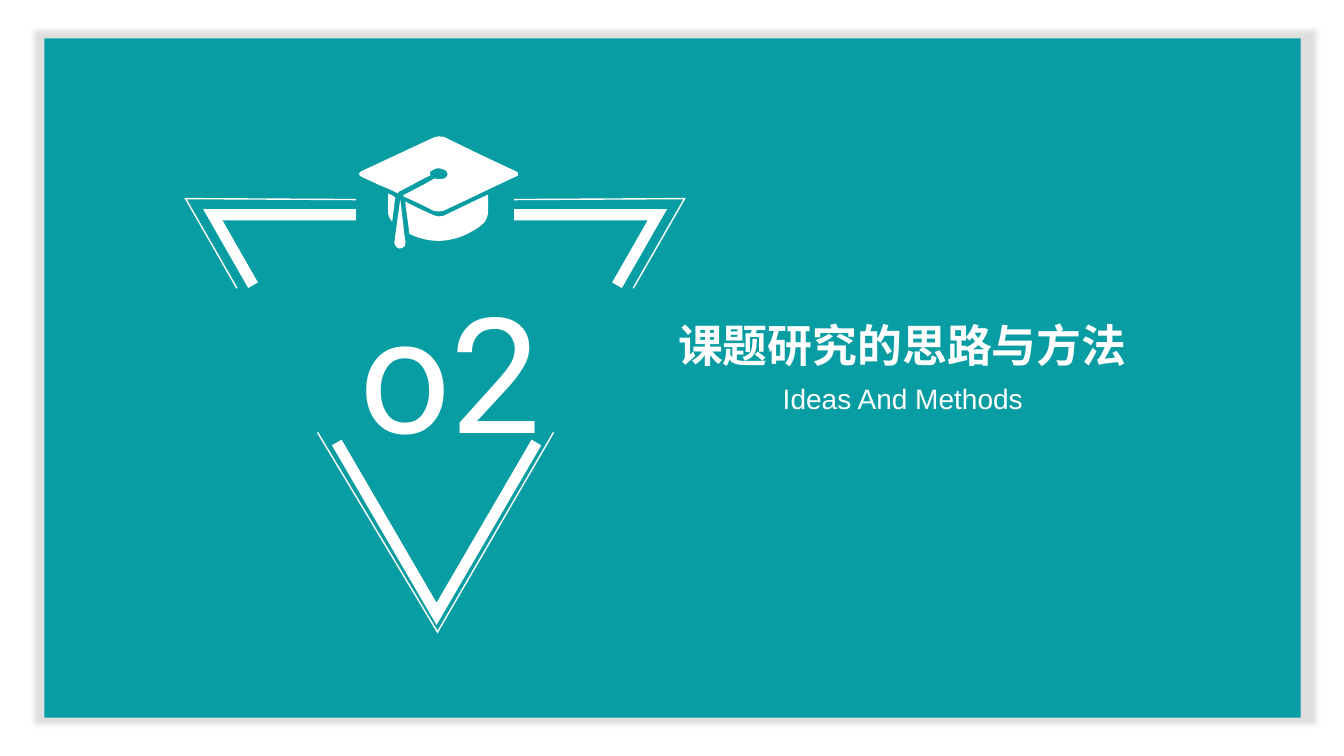
from lxml import etree
from pptx import Presentation
from pptx.dml.color import RGBColor
from pptx.enum.text import MSO_ANCHOR, PP_ALIGN
from pptx.enum.shapes import MSO_SHAPE
from pptx.oxml import parse_xml
from pptx.oxml.ns import nsdecls, qn
from pptx.util import Inches, Pt

COLORS = {"teal": "089DA3", "white": "FFFFFF", "shadow": "A6A6A6"}
WHITE = RGBColor.from_string(COLORS["white"])

prs = Presentation()
prs.slide_width, prs.slide_height = Inches(13.33), Inches(7.5)
slide = prs.slides.add_slide(prs.slide_layouts[5])
shapes = slide.shapes


def draw_outline(points, close):
    """Draw a freeform through points given in inches."""
    start, *rest = [(Inches(x), Inches(y)) for x, y in points]
    builder = shapes.build_freeform(*start, scale=1.0)
    builder.add_line_segments(rest, close=close)
    outline = builder.convert_to_shape()
    outline.shadow.inherit = False
    return outline


def write_text(box, text, font_name, size, bold=False):
    """Fill a box with one centred white line."""
    frame = box.text_frame
    frame.word_wrap = True
    frame.vertical_anchor = MSO_ANCHOR.TOP
    frame.text = text
    paragraph = frame.paragraphs[0]
    paragraph.alignment = PP_ALIGN.CENTER
    font = paragraph.font
    font.name, font.size, font.bold = font_name, Pt(size), bold
    font.color.rgb = WHITE
    latin = paragraph._p.pPr.find(qn("a:defRPr")).find(qn("a:latin"))
    latin.addnext(parse_xml(f'<a:ea {nsdecls("a")} typeface="{font_name}"/>'))


# Teal panel with a soft shadow, slightly larger than the panel
panel = shapes.add_shape(MSO_SHAPE.RECTANGLE, Inches(0.44), Inches(0.38),
                         Inches(12.46), Inches(6.74))
panel.fill.solid()
panel.fill.fore_color.rgb = RGBColor.from_string(COLORS["teal"])
panel.line.fill.background()
panel.shadow.inherit = False
effects = panel.element.spPr.find(qn("a:effectLst"))
effects.append(parse_xml(
    f'<a:outerShdw {nsdecls("a")} blurRad="{Pt(4)}" dist="{Pt(2)}" dir="0" '
    f'sx="102000" sy="102000" algn="ctr" rotWithShape="0">'
    f'<a:srgbClr val="{COLORS["shadow"]}"><a:alpha val="36000"/></a:srgbClr>'
    f'</a:outerShdw>'))

# Broken triangle: a thin and a thick outline, upper corners mirrored
MIRROR_SUM = 8.63
triangle = [
    (1, [(2.35, 2.86), (1.84, 1.97), (3.53, 1.98)],
     [(5.49, 4.29), (4.34, 6.27), (3.15, 4.29)]),
    (8, [(2.51, 2.83), (2.11, 2.13), (3.53, 2.13)],
     [(5.32, 4.39), (4.33, 6.09), (3.34, 4.39)]),
]
for weight, left_corner, tip in triangle:
    right_corner = [(MIRROR_SUM - x, y) for x, y in left_corner]
    for corner in (left_corner, tip, right_corner):
        stroke = draw_outline(corner, close=False)
        stroke.fill.background()
        stroke.line.color.rgb = WHITE
        stroke.line.width = Pt(weight)
        miter = etree.SubElement(stroke.element.spPr.find(qn("a:ln")), qn("a:miter"))
        miter.set("lim", "800000")

# Graduation cap: a start point, then two handles and an end point per curve
board = [
    (4.29, 1.37), (4.32, 1.35), (4.37, 1.35), (4.41, 1.36),
    (4.65, 1.48), (4.88, 1.59), (5.12, 1.70), (5.13, 1.71), (5.14, 1.71), (5.14, 1.73),
    (5.14, 1.74), (5.13, 1.75), (5.12, 1.75), (4.88, 1.86), (4.64, 1.98), (4.40, 2.09),
    (4.37, 2.10), (4.33, 2.10), (4.30, 2.09), (4.22, 2.05), (4.14, 2.01), (4.05, 1.97),
    (4.04, 1.96), (4.02, 1.96), (4.00, 1.95), (4.00, 1.94), (4.00, 1.93), (4.01, 1.93),
    (4.11, 1.88), (4.21, 1.83), (4.31, 1.77), (4.34, 1.78), (4.38, 1.78), (4.41, 1.77),
    (4.42, 1.76), (4.44, 1.75), (4.44, 1.73), (4.44, 1.71), (4.43, 1.70), (4.42, 1.69),
    (4.39, 1.67), (4.36, 1.67), (4.33, 1.67), (4.31, 1.68), (4.28, 1.69), (4.27, 1.70),
    (4.26, 1.71), (4.26, 1.73), (4.27, 1.74), (4.16, 1.79), (4.06, 1.85), (3.96, 1.90),
    (3.95, 1.90), (3.95, 1.91), (3.95, 1.92), (3.89, 1.89), (3.83, 1.86), (3.77, 1.84),
    (3.71, 1.81), (3.64, 1.78), (3.58, 1.75), (3.57, 1.74), (3.56, 1.74), (3.56, 1.72),
    (3.56, 1.71), (3.57, 1.71), (3.58, 1.70), (3.82, 1.59), (4.05, 1.48), (4.29, 1.37),
]
band_left = [
    (3.85, 1.92), (3.88, 1.93), (3.90, 1.94), (3.92, 1.96),
    (3.91, 2.04), (3.90, 2.12), (3.89, 2.20), (3.87, 2.17), (3.85, 2.15), (3.85, 2.12),
    (3.85, 2.05), (3.85, 1.99), (3.85, 1.92),
]
band_right = [
    (4.40, 2.14), (4.55, 2.07), (4.69, 2.00), (4.84, 1.93),
    (4.84, 1.99), (4.84, 2.06), (4.84, 2.12), (4.84, 2.15), (4.82, 2.17), (4.81, 2.20),
    (4.77, 2.24), (4.73, 2.27), (4.69, 2.29), (4.56, 2.37), (4.39, 2.41), (4.24, 2.38),
    (4.18, 2.37), (4.12, 2.35), (4.06, 2.32), (4.05, 2.22), (4.03, 2.11), (4.02, 2.00),
    (4.11, 2.05), (4.20, 2.09), (4.29, 2.13), (4.33, 2.15), (4.37, 2.15), (4.40, 2.14),
]
tassel = [
    (3.91, 2.41), (3.93, 2.27), (3.95, 2.12), (3.97, 1.98),
    (3.99, 2.12), (4.00, 2.25), (4.02, 2.39), (4.02, 2.40), (4.02, 2.41), (4.02, 2.42),
    (4.02, 2.44), (4.01, 2.45), (3.99, 2.46), (3.97, 2.47), (3.95, 2.47), (3.93, 2.45),
    (3.92, 2.44), (3.91, 2.43), (3.91, 2.41),
]
for cap_points in (board, band_left, band_right, tassel):
    cap_part = draw_outline(cap_points, close=True)
    cap_part.fill.solid()
    cap_part.fill.fore_color.rgb = WHITE
    cap_part.line.fill.background()
    # Turn each three line segments into one cubic curve
    segments = list(cap_part.element.iter(qn("a:lnTo")))
    for i in range(0, len(segments), 3):
        curve = etree.Element(qn("a:cubicBezTo"))
        segments[i].addprevious(curve)
        for segment in segments[i:i + 3]:
            curve.append(segment[0])
            segment.getparent().remove(segment)

# Section number
number = shapes.add_textbox(Inches(3.36), Inches(2.65), Inches(2.21), Inches(2.04))
write_text(number, "o2", "Roboto", 115)

# Section title, placed above the panel
title = shapes.title
title.left, title.top = Inches(6.24), Inches(3.1)
title.width, title.height = Inches(5.42), Inches(0.64)
write_text(title, "课题研究的思路与方法", "Noto Sans CJK SC", 32, bold=True)
number.element.addnext(title.element)

# Subtitle
subtitle = shapes.add_shape(MSO_SHAPE.SNIP_1_RECTANGLE, Inches(6.21), Inches(3.74),
                            Inches(5.49), Inches(0.44))
subtitle.adjustments[0] = 0
subtitle.fill.background()
subtitle.line.fill.background()
subtitle.shadow.inherit = False
write_text(subtitle, "Ideas And Methods", "Arial", 20)

prs.save("out.pptx")
